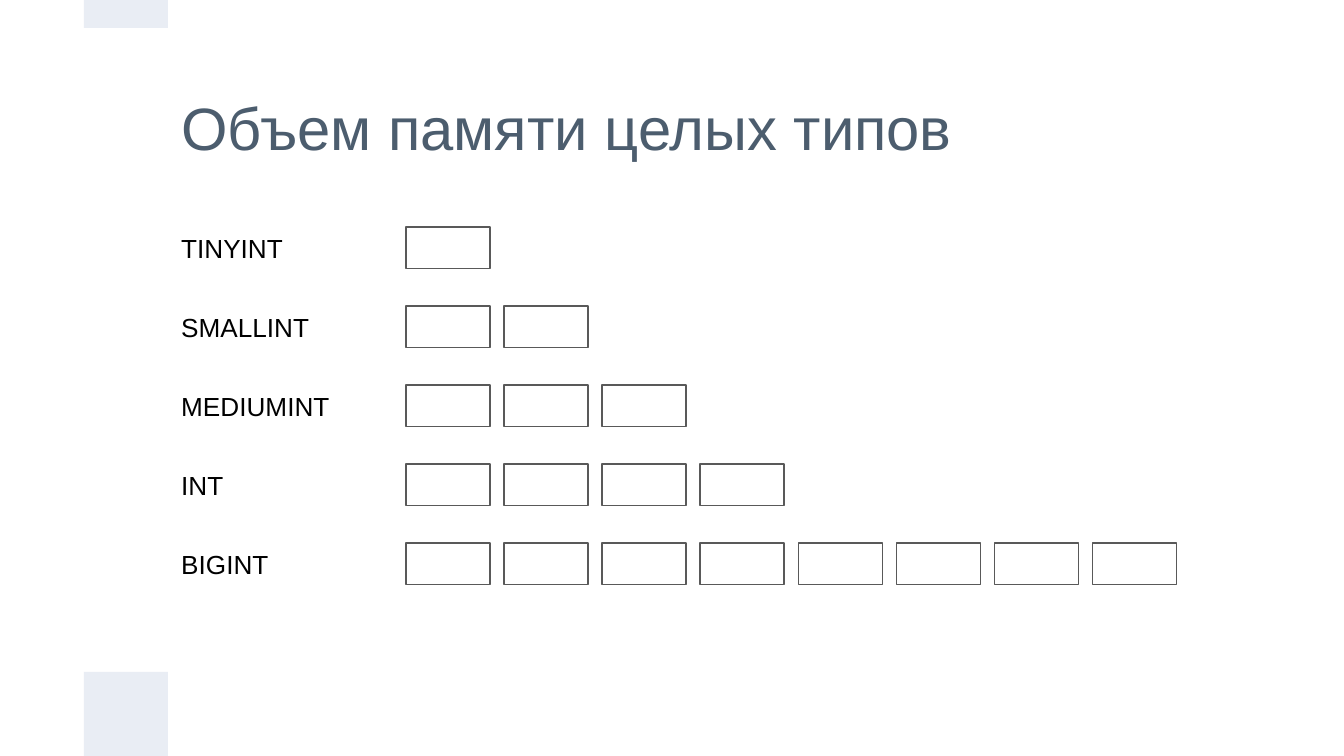
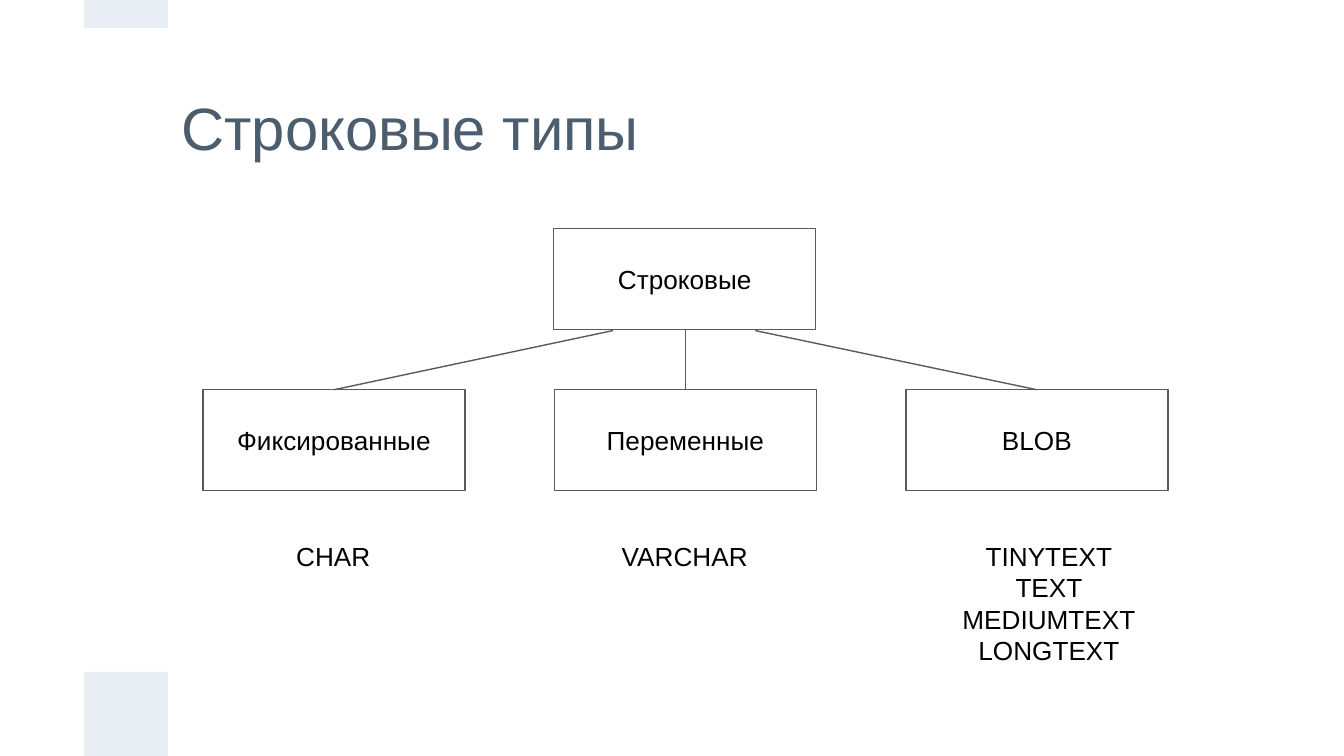
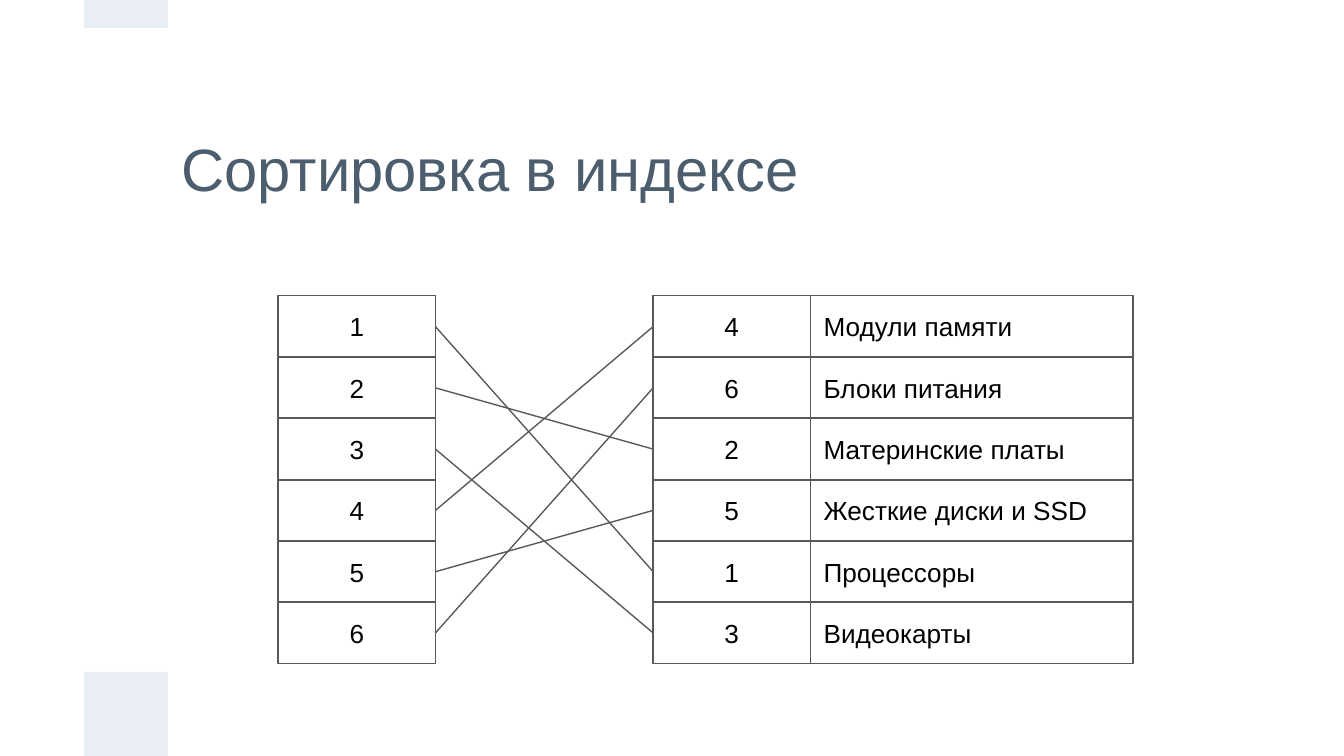
from lxml import etree
from pptx import Presentation
from pptx import util as u
from pptx.dml import color
from pptx.enum import shapes, text
from pptx.oxml import ns

COLORS = {"title": "4C5D6E", "band": "E9EDF4", "line": "595959", "text": "000000"}
FRAME = {
    "margin_left": u.Inches(0.1), "margin_right": u.Inches(0.1),
    "margin_top": u.Inches(0.1), "margin_bottom": u.Inches(0.1),
    "word_wrap": True, "auto_size": text.MSO_AUTO_SIZE.NONE,
}
LEFT, CENTER = text.PP_ALIGN.LEFT, text.PP_ALIGN.CENTER
MIDDLE, TOP = text.MSO_ANCHOR.MIDDLE, text.MSO_ANCHOR.TOP
UNIT = 5 / 8
BANDS = [(UNIT, 5, UNIT, UNIT), (UNIT, 0, UNIT, UNIT / 3)]


def write(box, lines, align=CENTER, anchor=MIDDLE, size=14, ink="text"):
    frame = box.text_frame
    for name, value in FRAME.items():
        setattr(frame, name, value)
    frame.vertical_anchor = anchor
    frame.text = "\n".join(lines)
    for para in frame.paragraphs:
        para.alignment = align
        for span in para.runs:
            span.font.name = "Arial"
            span.font.size = u.Pt(size)
            span.font.color.rgb = color.RGBColor.from_string(COLORS[ink])


def draw(page, kind, at, fill=None):
    places = [u.Inches(value) for value in at]
    if kind == "line":
        item = page.shapes.add_connector(shapes.MSO_CONNECTOR.STRAIGHT, *places)
        etree.SubElement(item._element.spPr, ns.qn("a:effectLst"))
    else:
        item = page.shapes.add_shape(shapes.MSO_SHAPE.RECTANGLE, *places)
        item.shadow.inherit = False
        item.fill.background()
    if fill:
        item.fill.solid()
        item.fill.fore_color.rgb = color.RGBColor.from_string(COLORS[fill])
        item.line.fill.background()
    else:
        item.line.color.rgb = color.RGBColor.from_string(COLORS["line"])
        item.line.width = u.Pt(0.75)
    return item


deck = Presentation()
deck.slide_width = u.Inches(10)
deck.slide_height = u.Inches(10 * 9 / 16)

pages = []
for heading, top, width in [
    ("Объем памяти целых типов", 0.32, 7.69),
    ("Строковые типы", 0.32, 7.69),
    ("Сортировка в индексе", 0.62, 7.5),
]:
    page = deck.slides.add_slide(deck.slide_layouts[0])
    subtitle = page.placeholders[1].element
    subtitle.getparent().remove(subtitle)
    title = page.shapes.title
    title.left, title.top = u.Inches(1.25), u.Inches(top)
    title.width, title.height = u.Inches(width), u.Inches(1.25)
    write(title, [heading], LEFT, size=32, ink="title")
    for band in BANDS:
        draw(page, "box", band, "band")
    pages.append(page)
memory_page, string_page, index_page = pages

INTEGER_BYTES = {"TINYINT": 1, "SMALLINT": 2, "MEDIUMINT": 3, "INT": 4, "BIGINT": 8}
for row, (name, count) in enumerate(INTEGER_BYTES.items()):
    offset = row * 2.35 / 4
    label = memory_page.shapes.add_textbox(
        u.Inches(1.25), u.Inches(1.62 + offset), u.Inches(1.4), u.Inches(0.45))
    write(label, [name], LEFT)
    for column in range(count):
        draw(memory_page, "box", (3.02 + 0.73 * column, 1.69 + offset, UNIT, 0.31))

write(draw(string_page, "box", (4.12, 1.7, 1.95, 0.75)), ["Строковые"])
STRING_KINDS = [
    ("Фиксированные", ["CHAR"], (1.78, 3.92, 1.4, 0.46), (4.56, 2.46)),
    ("Переменные", ["VARCHAR"], (4.47, 3.92, 1.25, 0.83), (5.1, 2.45)),
    ("BLOB", ["TINYTEXT", "TEXT", "MEDIUMTEXT", "LONGTEXT"],
     (7.06, 3.92, 1.49, 1.19), (5.62, 2.46)),
]
for column, (kind, types, place, start) in enumerate(STRING_KINDS):
    left = 1.51 + 5.23 / 2 * column
    write(draw(string_page, "box", (left, 2.9, 1.95, 0.75)), [kind])
    examples = string_page.shapes.add_textbox(*[u.Inches(value) for value in place])
    write(examples, types, anchor=TOP)
    draw(string_page, "line", (*start, left + 1.95 / 2, 2.9))

RECORDS = [
    (4, "Модули памяти"), (6, "Блоки питания"), (2, "Материнские платы"),
    (5, "Жесткие диски и SSD"), (1, "Процессоры"), (3, "Видеокарты"),
]
PITCH = 2.28 / 5
for row, (key, name) in enumerate(RECORDS):
    top = 2.2 + PITCH * row
    for left, width, value, align in [
        (2.07, 1.17, str(row + 1), CENTER),
        (4.86, 1.17, str(key), CENTER),
        (6.03, 2.4, name, LEFT),
    ]:
        write(draw(index_page, "box", (left, top, width, 0.46)), [value], align)
for row, (key, name) in enumerate(RECORDS):
    draw(index_page, "line", (3.24, 2.43 + PITCH * (key - 1), 4.86, 2.43 + PITCH * row))

deck.save("out.pptx")
